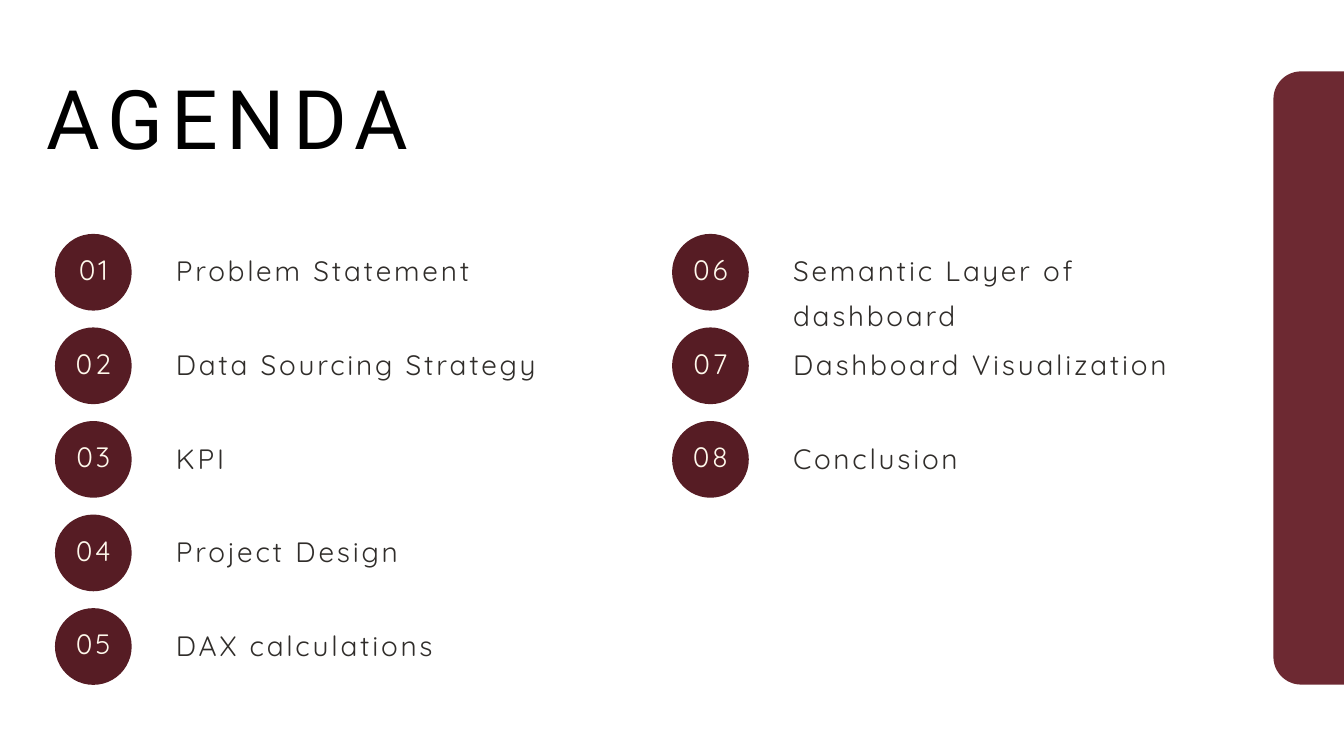
from dataclasses import dataclass

from pptx import Presentation
from pptx.dml.color import RGBColor
from pptx.enum.shapes import MSO_SHAPE
from pptx.enum.text import MSO_ANCHOR, PP_ALIGN
from pptx.shapes.autoshape import Shape
from pptx.shapes.shapetree import _BaseShapes
from pptx.slide import Slide
from pptx.util import Pt

OVAL, ROUNDED = MSO_SHAPE.OVAL, MSO_SHAPE.ROUNDED_RECTANGLE
TOP, MIDDLE = MSO_ANCHOR.TOP, MSO_ANCHOR.MIDDLE
LEFT, CENTER = PP_ALIGN.LEFT, PP_ALIGN.CENTER

BLACK = RGBColor(0x00, 0x00, 0x00)
INK = RGBColor(0x30, 0x2D, 0x2A)
CREAM = RGBColor(0xFF, 0xF9, 0xEC)
MAROON = RGBColor(0x56, 0x1C, 0x24)
WINE = RGBColor(0x6D, 0x29, 0x32)

ROWS = 5
FIRST_LEFT, FIRST_TOP = 58.9, 250.6
COLUMN_PITCH, ROW_PITCH = 661.2, 100.25
CIRCLE = 82.2

TOPICS = [
    "Problem Statement",
    "Data Sourcing Strategy",
    "KPI",
    "Project Design",
    "DAX calculations",
    "Semantic Layer of dashboard",
    "Dashboard Visualization",
    "Conclusion",
]


@dataclass(frozen=True)
class Box:
    left: float
    top: float
    width: float
    height: float

    def lengths(self) -> tuple[Pt, Pt, Pt, Pt]:
        return Pt(self.left), Pt(self.top), Pt(self.width), Pt(self.height)


@dataclass(frozen=True)
class TextStyle:
    font: str
    size: float
    line: float
    color: RGBColor
    align: PP_ALIGN = LEFT
    anchor: MSO_ANCHOR = TOP
    inset: float = 0


TITLE = TextStyle("Roboto", 88, 88, BLACK)
TOPIC = TextStyle("Quicksand", 30, 48.1, INK)
NUMBER = TextStyle("Quicksand", 30, 42, CREAM, CENTER, MIDDLE, 4)


def add_filled(shapes: _BaseShapes, kind: MSO_SHAPE, box: Box, color: RGBColor) -> Shape:
    sp = shapes.add_shape(kind, *box.lengths())
    sp.shadow.inherit = False
    sp.fill.solid()
    sp.fill.fore_color.rgb = color
    sp.line.fill.background()
    return sp


def add_text(shapes: _BaseShapes, text: str, box: Box, style: TextStyle) -> None:
    """Add a text box whose letters are spaced by a tenth of their size."""
    tf = shapes.add_textbox(*box.lengths()).text_frame
    tf.word_wrap = True
    tf.vertical_anchor = style.anchor
    tf.margin_left = tf.margin_right = Pt(style.inset)
    tf.margin_top = tf.margin_bottom = Pt(style.inset)
    tf.text = text
    p = tf.paragraphs[0]
    p.alignment = style.align
    p.line_spacing = Pt(style.line)
    r = p.runs[0]
    r.font.name = style.font
    r.font.size = Pt(style.size)
    r.font.color.rgb = style.color
    r._r.get_or_add_rPr().set("spc", str(round(style.size * 10)))


def add_topic(slide: Slide, index: int, topic: str) -> None:
    column, row = divmod(index, ROWS)
    left = FIRST_LEFT + column * COLUMN_PITCH
    top = FIRST_TOP + row * ROW_PITCH
    badge = slide.shapes.add_group_shape().shapes
    add_filled(badge, OVAL, Box(left, top, CIRCLE, CIRCLE), MAROON)
    add_text(badge, f"{index + 1:02}", Box(left + 7.6, top - 4.6, 67, 79), NUMBER)
    add_text(slide.shapes, topic, Box(left + 129.6, top + 9.4, 467.5, 50.4), TOPIC)


def main() -> None:
    prs = Presentation()
    prs.slide_width, prs.slide_height = Pt(1440), Pt(810)
    slide = prs.slides.add_slide(prs.slide_layouts[6])

    for index, topic in enumerate(TOPICS):
        add_topic(slide, index, topic)
    add_text(slide.shapes, "AGENDA", Box(49.7, 90, 1267, 92), TITLE)

    panel = add_filled(slide.shapes, ROUNDED, Box(1364.4, 76.5, 156.2, 657), WINE)
    panel.adjustments[0] = 0.19

    prs.save("out.pptx")


if __name__ == "__main__":
    main()
